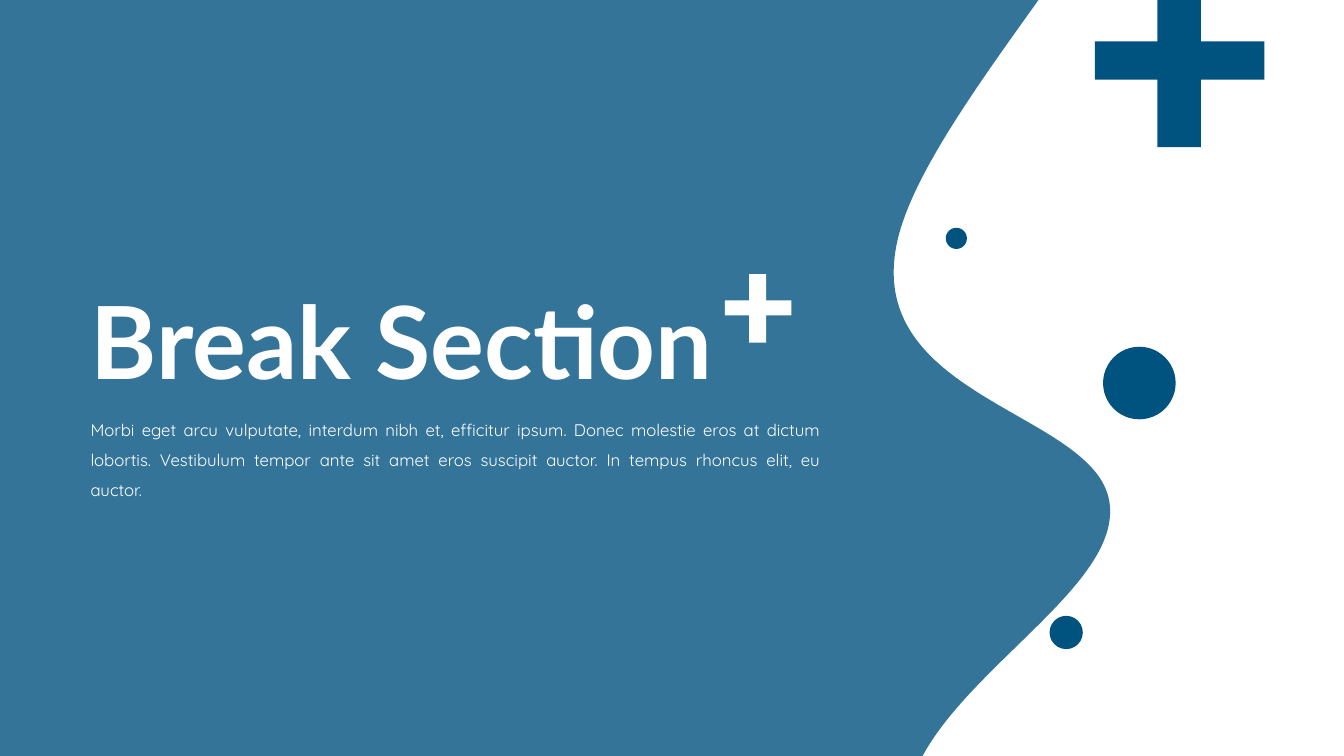
"""Build a section-break slide with a wave, plus signs and dots."""
from lxml import etree
from pptx import Presentation
from pptx import util as u
from pptx.dml.color import RGBColor
from pptx.enum import shapes, text
from pptx.oxml.ns import qn

WIDE, HIGH = 13.33, 7.5
NAVY, WHITE = "00527F", "FFFFFF"
TITLE = "Break Section"
BODY = ("Morbi eget arcu vulputate, interdum nibh et, efficitur ipsum. "
        "Donec molestie eros at dictum lobortis. Vestibulum tempor ante sit "
        "amet eros suscipit auctor. In tempus rhoncus elit, eu auctor.")
HEAD = [(0, 0), (10.3, 0), (10.05, 0.35)]
CURVES = [
    ((9.46, 1.18), (8.96, 1.94), (8.88, 2.5)),
    ((8.65, 4.01), (11, 4.11), (11.01, 5.06)),
    ((11.03, 5.8), (9.71, 6.56), (9.19, 7.43)),
]
TAIL = [(9.15, HIGH), (0, HIGH)]
PLUSES = [
    ((7.19, 7.43, 7.6, 7.85), (2.72, 2.98, 3.13, 3.4), WHITE),
    ((10.86, 11.48, 11.91, 12.54), (-0.26, 0.41, 0.79, 1.46), NAVY),
]
DOTS = [(10.94, 3.44, 0.72), (10.41, 6.11, 0.33), (9.38, 2.26, 0.21)]


def paint(shape, color):
    shape.shadow.inherit = False
    shape.fill.solid()
    shape.fill.fore_color.rgb = RGBColor.from_string(color)
    shape.line.fill.background()


def outline(slide, points, color):
    spots = [(u.Inches(x), u.Inches(y)) for x, y in points]
    form = slide.shapes.build_freeform(*spots[0], scale=1.0)
    form.add_line_segments(spots[1:], close=True)
    shape = form.convert_to_shape()
    paint(shape, color)
    return shape


def wave(slide):
    ends = [curve[-1] for curve in CURVES]
    root = outline(slide, HEAD + ends + TAIL, NAVY).element
    lines = list(root.iter(qn("a:lnTo")))[len(HEAD) - 1:]
    for line, curve in zip(lines, CURVES):
        bend = etree.Element(qn("a:cubicBezTo"))
        for x, y in curve:
            etree.SubElement(bend, qn("a:pt"),
                             x=str(u.Inches(x)), y=str(u.Inches(y)))
        line.getparent().replace(line, bend)
    tint = next(root.iter(qn("a:srgbClr")))
    etree.SubElement(tint, qn("a:alpha"), val="80000")


def plus(slide, xs, ys, color):
    a, b, c, d = xs
    e, f, g, h = ys
    outline(slide, [(b, e), (c, e), (c, f), (d, f), (d, g), (c, g),
                    (c, h), (b, h), (b, g), (a, g), (a, f), (b, f)], color)


def write(slide, box, words, face, size, space):
    frame = slide.shapes.add_textbox(*map(u.Inches, box)).text_frame
    frame.word_wrap = True
    frame.text = words
    para = frame.paragraphs[0]
    para.line_spacing = space
    font = para.runs[0].font
    font.name, font.size = face, u.Pt(size)
    font.color.rgb = RGBColor.from_string(WHITE)
    return frame


def main():
    deck = Presentation()
    deck.slide_width, deck.slide_height = u.Inches(WIDE), u.Inches(HIGH)
    slide = deck.slides.add_slide(deck.slide_layouts[6])
    wave(slide)
    for xs, ys, color in PLUSES:
        plus(slide, xs, ys, color)
    for x, y, size in DOTS:
        dot = slide.shapes.add_shape(
            shapes.MSO_SHAPE.OVAL, *map(u.Inches, (x, y, size, size)))
        paint(dot, NAVY)
    body = write(slide, (0.8, 4.01, 7.44, 0.71), BODY, "Quicksand", 12, 1.5)
    body.auto_size = text.MSO_AUTO_SIZE.SHAPE_TO_FIT_TEXT
    body.paragraphs[0].alignment = text.PP_ALIGN.JUSTIFY
    title = write(slide, (0.8, 2.72, 8.71, 1.45), TITLE, "Lato", 72, 0.9)
    title.vertical_anchor = text.MSO_ANCHOR.MIDDLE
    title.paragraphs[0].runs[0].font.bold = True
    deck.save("out.pptx")


if __name__ == "__main__":
    main()
